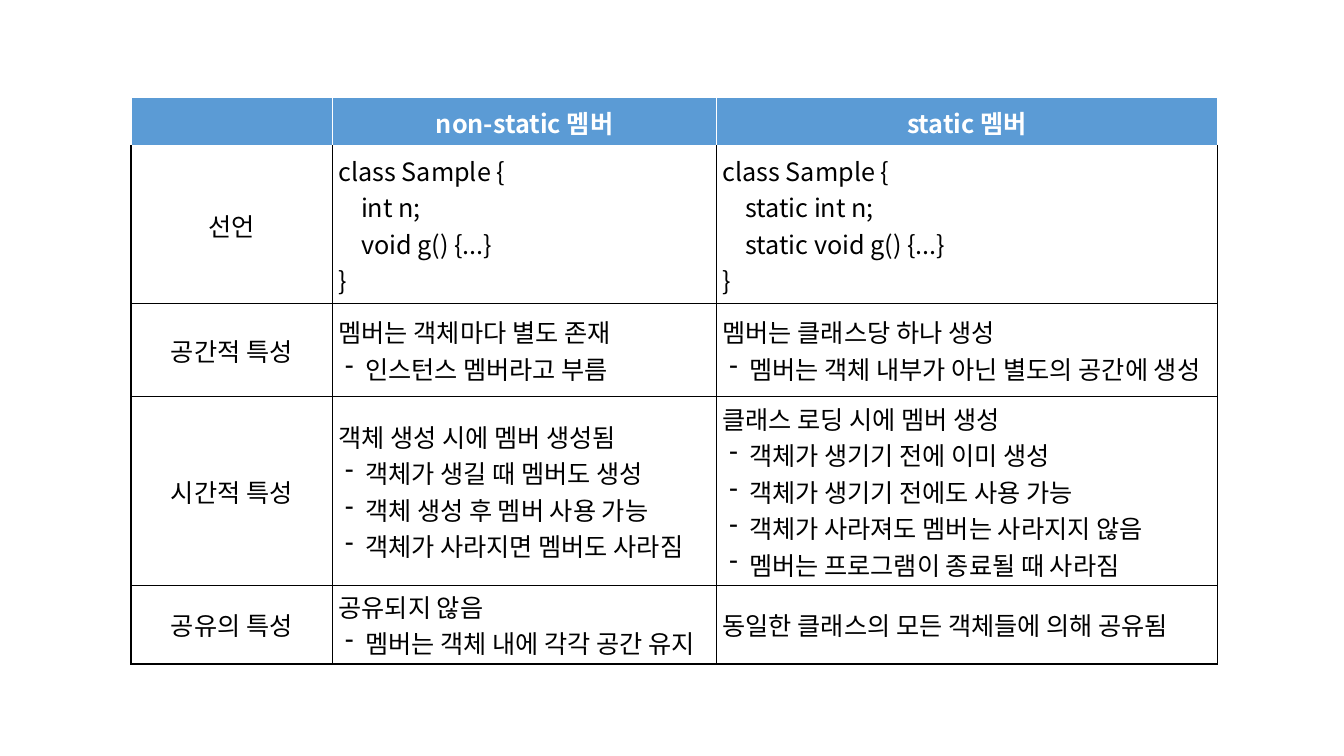
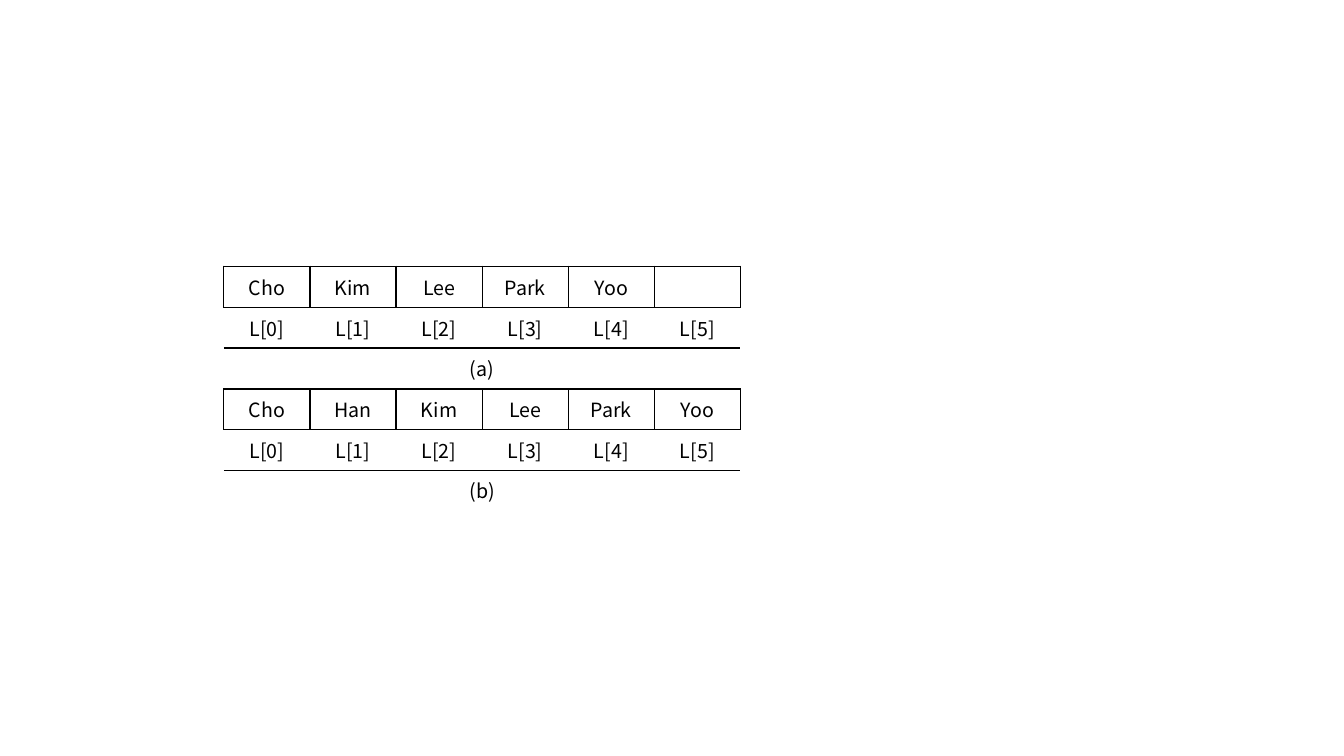
from dataclasses import dataclass

from lxml import etree
from pptx import Presentation
from pptx.dml.color import RGBColor
from pptx.enum.text import MSO_ANCHOR, PP_ALIGN
from pptx.oxml.ns import qn
from pptx.util import Cm, Pt

LEFT, CENTER = PP_ALIGN.LEFT, PP_ALIGN.CENTER
TOP, MIDDLE = MSO_ANCHOR.TOP, MSO_ANCHOR.MIDDLE
PLAIN_TABLE = "{2D5ABB26-0587-4C30-8999-92F81FD0307C}"
BULLET = "- "


@dataclass(frozen=True)
class Theme:
    font: str = "Noto Sans CJK KR"
    ink: str = "000000"
    paper: str = "FFFFFF"
    accent: str = "5B9BD5"
    body_size: int = 18
    array_size: int = 14
    line: int = 1
    heavy_line: int = 3


THEME = Theme()

HEADINGS = ["", "non-static 멤버", "static 멤버"]
COMPARISON = [
    ("선언",
     ["class Sample {", "    int n;", "    void g() {...}", "}"],
     ["class Sample {", "    static int n;", "    static void g() {...}", "}"]),
    ("공간적 특성",
     ["멤버는 객체마다 별도 존재", "- 인스턴스 멤버라고 부름"],
     ["멤버는 클래스당 하나 생성", "- 멤버는 객체 내부가 아닌 별도의 공간에 생성"]),
    ("시간적 특성",
     ["객체 생성 시에 멤버 생성됨", "- 객체가 생길 때 멤버도 생성",
      "- 객체 생성 후 멤버 사용 가능", "- 객체가 사라지면 멤버도 사라짐"],
     ["클래스 로딩 시에 멤버 생성", "- 객체가 생기기 전에 이미 생성",
      "- 객체가 생기기 전에도 사용 가능", "- 객체가 사라져도 멤버는 사라지지 않음",
      "- 멤버는 프로그램이 종료될 때 사라짐"]),
    ("공유의 특성",
     ["공유되지 않음", "- 멤버는 객체 내에 각각 공간 유지"],
     ["동일한 클래스의 모든 객체들에 의해 공유됨"]),
]
COMPARISON_WIDTHS = [5.08, 9.68, 12.62]
COMPARISON_HEIGHTS = [1.24, 3.94, 2.36, 4.75, 1.98]

ARRAYS = [
    ("(a)", ["Cho", "Kim", "Lee", "Park", "Yoo", ""]),
    ("(b)", ["Cho", "Han", "Kim", "Lee", "Park", "Yoo"]),
]
ARRAY_WIDTH, ARRAY_HEIGHT = 2.17, 1.03


def add_plain_table(page, left, top, widths, heights):
    frame = page.shapes.add_table(len(heights), len(widths), Cm(left), Cm(top),
                                  Cm(sum(widths)), Cm(sum(heights)))
    table = frame.table
    table.first_row = table.horz_banding = False
    for style in frame.element.iter(qn("a:tableStyleId")):
        style.text = PLAIN_TABLE
    for column, width in zip(table.columns, widths):
        column.width = Cm(width)
    for row, height in zip(table.rows, heights):
        row.height = Cm(height)
    return table


def draw_borders(cell, borders):
    properties = cell._tc.get_or_add_tcPr()
    for side in "LRTB":
        if side in borders:
            color, width = borders[side]
            line = etree.SubElement(properties, qn(f"a:ln{side}"), w=str(Pt(width)))
            fill = etree.SubElement(line, qn("a:solidFill"))
            etree.SubElement(fill, qn("a:srgbClr"), val=color)


def add_bullet(para):
    properties = para._p.get_or_add_pPr()
    properties.set("marL", str(Cm(0.67)))
    properties.set("indent", str(Cm(-0.5)))
    etree.SubElement(properties, qn("a:buChar"), char=BULLET.strip())


def write_cell(cell, lines, size, color=THEME.ink, bold=False, align=CENTER,
               anchor=MIDDLE, insets=(0, 0, 0, 0), borders=None, fill=None):
    draw_borders(cell, borders or {})
    if fill:
        cell.fill.solid()
        cell.fill.fore_color.rgb = RGBColor.from_string(fill)
    else:
        cell.fill.background()
    cell.vertical_anchor = anchor
    (cell.margin_left, cell.margin_top,
     cell.margin_right, cell.margin_bottom) = map(Cm, insets)
    frame = cell.text_frame
    for index, line in enumerate(lines):
        para = frame.add_paragraph() if index else frame.paragraphs[0]
        para.alignment = align
        if line.startswith(BULLET):
            add_bullet(para)
        if not line:
            etree.SubElement(para._p, qn("a:endParaRPr"), sz=str(size * 100))
            continue
        span = para.add_run()
        span.text = line.removeprefix(BULLET)
        span.font.name = THEME.font
        span.font.size = Pt(size)
        span.font.bold = bold
        span.font.color.rgb = RGBColor.from_string(color)
        etree.SubElement(span._r.get_or_add_rPr(), qn("a:ea"), typeface=THEME.font)


def build_comparison(page):
    table = add_plain_table(page, 3.3, 2.46, COMPARISON_WIDTHS, COMPARISON_HEIGHTS)
    white, black = (THEME.paper, THEME.line), (THEME.ink, THEME.line)
    divider = (THEME.paper, THEME.heavy_line)
    for column, heading in enumerate(HEADINGS):
        write_cell(table.cell(0, column), [heading], THEME.body_size, THEME.paper, True,
                   borders={"L": white, "R": white, "T": white, "B": divider},
                   fill=THEME.accent)
    for row, (label, *descriptions) in enumerate(COMPARISON, 1):
        borders = {"L": black, "R": black, "T": divider if row == 1 else black, "B": black}
        write_cell(table.cell(row, 0), [label], THEME.body_size,
                   borders=borders, fill=THEME.paper)
        for column, lines in enumerate(descriptions, 1):
            write_cell(table.cell(row, column), lines, THEME.body_size, align=LEFT,
                       insets=(0.15, 0, 0, 0), borders=borders, fill=THEME.paper)


def build_arrays(page):
    columns = len(ARRAYS[0][1])
    table = add_plain_table(page, 5.64, 6.71, [ARRAY_WIDTH] * columns,
                            [ARRAY_HEIGHT] * (3 * len(ARRAYS)))
    black = (THEME.ink, THEME.line)
    insets = (0.13,) * 4
    for number, (caption, names) in enumerate(ARRAYS):
        row = 3 * number
        for column, name in enumerate(names):
            write_cell(table.cell(row, column), [name], THEME.array_size, insets=insets,
                       borders=dict.fromkeys("LRTB", black))
            write_cell(table.cell(row + 1, column), [f"L[{column}]"], THEME.array_size,
                       insets=insets, borders={"T": black})
        caption_cell = table.cell(row + 2, 0)
        caption_cell.merge(table.cell(row + 2, columns - 1))
        has_next = number < len(ARRAYS) - 1
        write_cell(caption_cell, [caption], THEME.array_size, anchor=TOP, insets=insets,
                   borders={"B": black} if has_next else None)


def main():
    deck = Presentation()
    deck.slide_width, deck.slide_height = Cm(33.87), Cm(19.05)
    for build in (build_comparison, build_arrays):
        build(deck.slides.add_slide(deck.slide_layouts[6]))
    deck.save("out.pptx")


if __name__ == "__main__":
    main()
